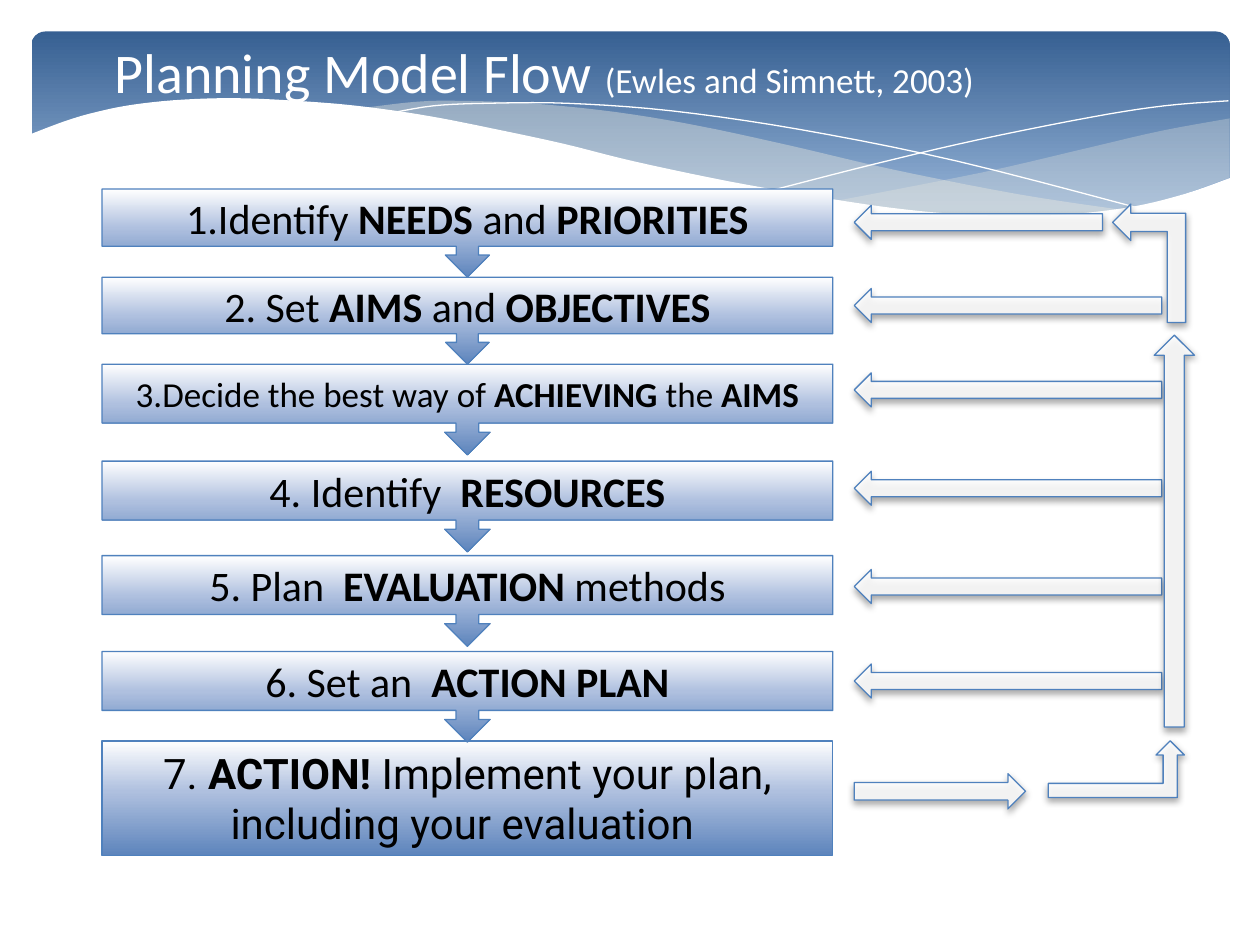
from dataclasses import dataclass

from lxml import etree
from pptx import Presentation
from pptx import util as u
from pptx.dml.color import RGBColor
from pptx.enum import shapes, text
from pptx.oxml.ns import qn

KIND = shapes.MSO_SHAPE
Point = tuple[float, float]
Run = tuple[str, bool]

# The slide is a grid of 100 columns by 75 rows
deck = Presentation()
deck.slide_width, deck.slide_height = u.Inches(10), u.Inches(7.5)
CELL = deck.slide_width / 100
slide = deck.slides.add_slide(deck.slide_layouts[5])

BLUE, WHITE, BLACK, CREAM = "4F81BD", "FFFFFF", "000000", "EEECE1"
BAND = [(0, "376092"), (90, "95B3D7")]
GLOSS = [(0, "FFFFFF"), (44, "AFC0DF"), (100, "5D84BC")]
LEFT, WIDE = 8.1, 58
BACK = 67.8


@dataclass
class Step:
    row: float
    tall: float
    arrow: float
    runs: list[Run]
    size: float = 24
    span: float = 24.4


@dataclass
class Wave:
    curves: list[list[Point]]
    fill: str | None = None
    alpha: int = 100


@dataclass
class Arrow:
    kind: int
    box: tuple[float, float, float, float]
    turn: float = 0


def grid(n: float) -> int:
    return round(n * CELL)


def hue(code: str) -> RGBColor:
    return RGBColor.from_string(code)


def sub(node, tag: str, **attrs):
    return etree.SubElement(node, qn(tag), {k: str(v) for k, v in attrs.items()})


def paint(shape, code: str, alpha: int = 100) -> None:
    shape.fill.solid()
    shape.fill.fore_color.rgb = hue(code)
    if alpha < 100:
        tint = shape._element.spPr.find(qn("a:solidFill"))[0]
        sub(tint, "a:alpha", val=alpha * 1000)


def shade(shape, stops: list[tuple[int, str]]) -> None:
    shape.fill.gradient()
    shape.fill.gradient_angle = 270
    stack = shape._element.spPr.find(qn("a:gradFill")).find(qn("a:gsLst"))
    for old in list(stack):
        stack.remove(old)
    for pos, code in stops:
        sub(sub(stack, "a:gs", pos=pos * 1000), "a:srgbClr", val=code)


def edge(shape, code: str, width: float) -> None:
    shape.line.color.rgb = hue(code)
    shape.line.width = u.Pt(width)


def block(kind: int, x: float, y: float, w: float, h: float):
    shape = slide.shapes.add_shape(kind, grid(x), grid(y), grid(w), grid(h))
    shape.shadow.inherit = False
    return shape


def write(par, words: str, size: float, code: str, bold: bool = False, face: str = "Calibri") -> None:
    run = par.add_run()
    run.text = words
    run.font.size, run.font.bold, run.font.name = u.Pt(size), bold, face
    run.font.color.rgb = hue(code)


def panel(kind: int, row: float, tall: float, runs: list[Run], size: float, face: str = "Calibri"):
    shape = block(kind, LEFT, row, WIDE, tall)
    shade(shape, GLOSS)
    edge(shape, BLUE, 0.75)
    par = shape.text_frame.paragraphs[0]
    par.alignment = text.PP_ALIGN.CENTER
    for words, bold in runs:
        write(par, words, size, BLACK, bold, face)
    return shape


def point(arrow: Arrow) -> None:
    shape = block(arrow.kind, *arrow.box)
    shape.rotation = arrow.turn
    paint(shape, WHITE, 85)
    edge(shape, BLUE, 0.75)
    glow = shape._element.spPr.find(qn("a:effectLst"))
    drop = sub(glow, "a:outerShdw", blurRad=u.Pt(4), dist=u.Pt(2), dir=90 * 60000, rotWithShape=0)
    sub(sub(drop, "a:srgbClr", val=BLACK), "a:alpha", val=38000)


def smooth(knots: list[Point], parts: int = 5) -> list[Point]:
    """Points of a Catmull-Rom curve through the knots."""
    ext = [knots[0], *knots, knots[-1]]
    out = [knots[0]]
    for a, b, c, d in zip(ext, ext[1:], ext[2:], ext[3:]):
        for k in range(1, parts + 1):
            t = k / parts
            out.append(tuple(
                (2 * q + (r - p) * t + (2 * p - 5 * q + 4 * r - s) * t**2
                 + (3 * q - p - 3 * r + s) * t**3) / 2
                for p, q, r, s in zip(a, b, c, d)))
    return out


def ripple(wave: Wave) -> None:
    dots = [(grid(x), grid(y)) for knots in wave.curves for x, y in smooth(knots)]
    pen = slide.shapes.build_freeform(*dots[0], scale=1.0)
    pen.add_line_segments(dots[1:], close=wave.fill is not None)
    shape = pen.convert_to_shape()
    shape.shadow.inherit = False
    if wave.fill:
        paint(shape, wave.fill, wave.alpha)
        shape.line.fill.background()
    else:
        shape.fill.background()
        edge(shape, WHITE, 0)


# Header band and its waves
band = block(KIND.ROUNDED_RECTANGLE, 2.5, 2.5, 95.1, 15.6)
band.adjustments[0] = 0.07
shade(band, BAND)
band.line.fill.background()

WAVES = [
    Wave([[(97.6, 9.4), (92.1, 10.4), (86.1, 11.8), (77.9, 13.7), (66.1, 16)],
          [(66.1, 16), (71.9, 16.7), (76.9, 17.1), (82.4, 17.2), (87.2, 16.9),
           (92.1, 16), (97.6, 14.1)]], CREAM, 29),
    Wave([[(89.3, 16.7), (80.7, 15.4), (70.6, 13.4), (62.9, 11.6), (55.5, 10),
           (48.9, 8.9), (42, 8.2), (36.1, 8), (32.8, 8.1), (28.6, 8.6)],
          [(28.6, 8.6), (36.2, 9.7), (44.9, 11.6), (56.6, 14.3), (65, 15.8),
           (72.2, 16.8), (78.5, 17.2), (83.8, 17.2), (89.3, 16.7)]], CREAM, 40),
    Wave([[(30.9, 9), (34.4, 8.4), (38.7, 8.2), (45, 8.2), (53.3, 8.8),
           (63.6, 10.3), (76, 12.8), (90.7, 16.6)]]),
    Wave([[(61.3, 15.1), (69.5, 13), (77.6, 11.1), (86.6, 9.3), (92.4, 8.4), (97.5, 8)]]),
    Wave([[(97.7, 14.1), (94, 15.4), (89.9, 16.4), (85, 17), (80.9, 17.1), (76.1, 17),
           (70.8, 16.5), (64.8, 15.6), (57.9, 14.4), (50.3, 12.8), (44.7, 11.4),
           (39.1, 10.2), (34, 9.2), (29.2, 8.5), (25, 8.1), (19.3, 7.8), (14.6, 7.9),
           (10.6, 8.3), (7.6, 8.9), (5.2, 9.6), (2.3, 10.7)],
          [(2.3, 22.4), (97.7, 22.4)]], WHITE),
]
for wave in WAVES:
    ripple(wave)

# Title, lifted above the band
title = slide.shapes.title
title.left, title.top, title.width, title.height = map(grid, (LEFT, 2.5, 89.1, 6.8))
slide.shapes._spTree.append(title._element)
frame = title.text_frame
frame.word_wrap, frame.auto_size = True, text.MSO_AUTO_SIZE.NONE
frame.vertical_anchor = text.MSO_ANCHOR.TOP
head = frame.paragraphs[0]
head.alignment = text.PP_ALIGN.LEFT
write(head, "Planning Model Flow ", 32, WHITE)
write(head, "(Ewles and Simnett, 2003)", 20, WHITE)

# Last step
last = panel(KIND.RECTANGLE, 58.8, 9.1, [
    ("7. ", False), ("ACTION! ", True),
    ("Implement your plan, including your evaluation ", False)], 24, "Roboto")
last.text_frame.vertical_anchor = text.MSO_ANCHOR.TOP
last.text_frame.auto_size = text.MSO_AUTO_SIZE.SHAPE_TO_FIT_TEXT

# Steps one to six, each with an arrow leading back to it
STEPS = [
    Step(15, 7, 16.3, [("1.Identify ", False), ("NEEDS", True), (" and ", False),
                       ("PRIORITIES", True)], span=19.7),
    Step(22, 6.9, 22.9, [("2. Set ", False), ("AIMS", True), (" and ", False),
                         ("OBJECTIVES", True)]),
    Step(28.9, 7.2, 29.6, [("3.Decide the best way of ", False), ("ACHIEVING ", True),
                           ("the", False), (" AIMS", True)], size=20),
    Step(36.6, 7.2, 37.4, [("4. Identify  ", False), ("RESOURCES", True)]),
    Step(44.1, 7.2, 45.2, [("5. Plan  ", False), ("EVALUATION ", True), ("methods", False)]),
    Step(51.7, 7.2, 52.7, [("6. Set an  ", False), ("ACTION PLAN", True)]),
]
for step in STEPS:
    point(Arrow(KIND.LEFT_ARROW, (BACK, step.arrow, step.span, 2.7)))
    panel(KIND.DOWN_ARROW_CALLOUT, step.row, step.tall, step.runs, step.size)

# Loop from the last step up to the first
LOOP = [
    Arrow(KIND.RIGHT_ARROW, (BACK, 61.4, 13.6, 2.8)),
    Arrow(KIND.BENT_UP_ARROW, (83.2, 58.8, 10.8, 4.5)),
    Arrow(KIND.UP_ARROW, (91.6, 26.6, 3.2, 31.1)),
    Arrow(KIND.BENT_UP_ARROW, (86.5, 18, 9.4, 5.8), 270),
]
for arrow in LOOP:
    point(arrow)

deck.save("out.pptx")
